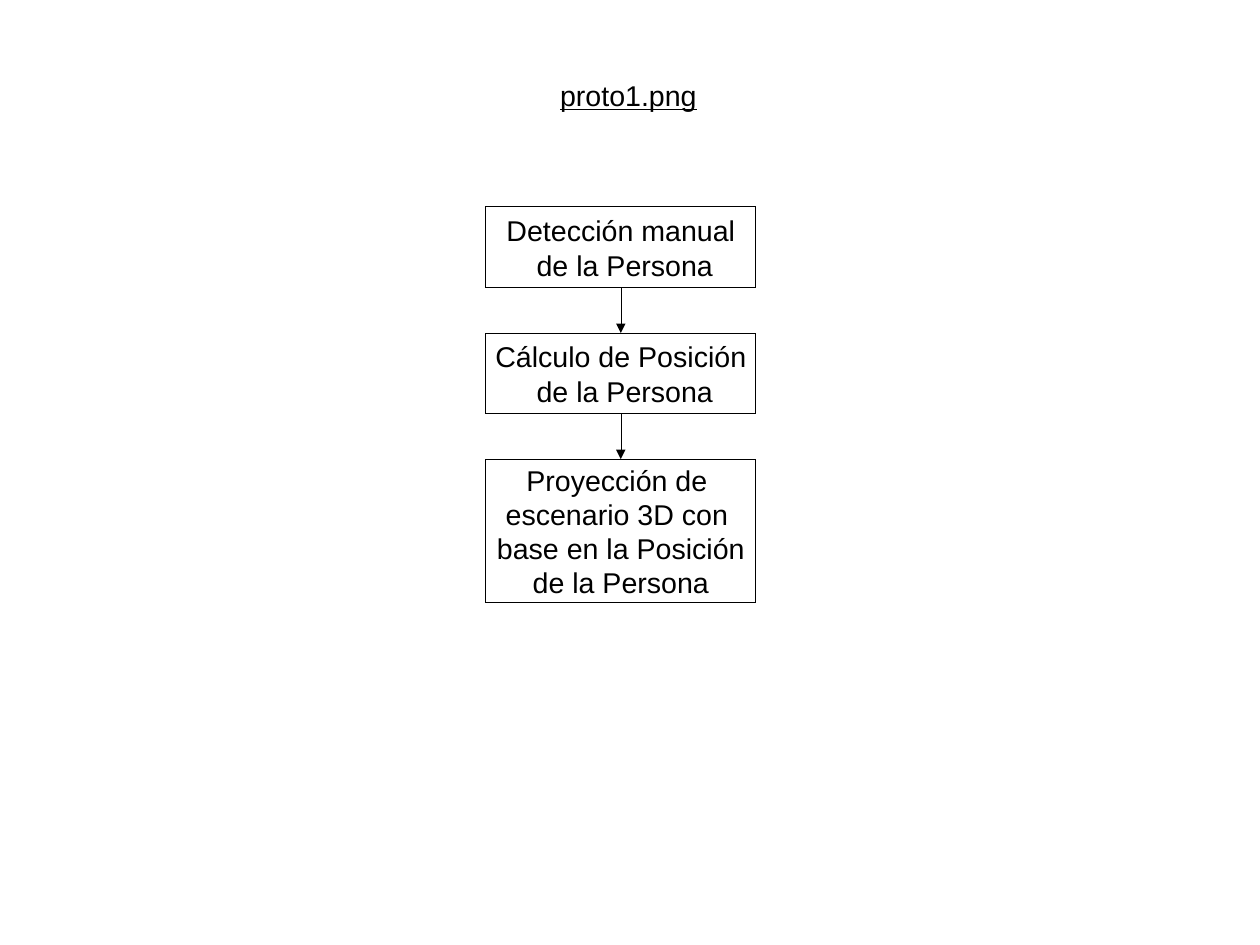
from itertools import pairwise
from lxml import etree
from pptx import Presentation
from pptx.dml.color import RGBColor
from pptx.enum.shapes import MSO_CONNECTOR as Connector, MSO_SHAPE as Shape
from pptx.enum.text import MSO_ANCHOR as Anchor, MSO_AUTO_SIZE as AutoSize, PP_ALIGN as Align
from pptx.oxml.ns import qn
from pptx.util import Pt

TITLE = "proto1.png"
STEPS = [
    (51, ["Detección manual", " de la Persona"]),
    (51, ["Cálculo de Posición", " de la Persona"]),
    (90.7, ["Proyección de ", "escenario 3D con ", "base en la Posición", "de la Persona"]),
]
BLACK, WHITE = "000000", "FFFFFF"
FONT, SIZE, HAIRLINE = "Arial", 18, 0.01
LEFT, TOP, WIDTH, GAP = 306, 130.4, 170.1, 28.4


def color(value):
    return RGBColor.from_string(value)


def write(frame, lines, align, anchor, underline=False):
    frame.word_wrap = False
    frame.vertical_anchor = anchor
    frame.margin_left = frame.margin_right = Pt(7.2)
    frame.margin_top = frame.margin_bottom = Pt(3.6)
    for index, line in enumerate(lines):
        para = frame.add_paragraph() if index else frame.paragraphs[0]
        para.alignment = align
        span = para.add_run()
        span.text = line
        span.font.name = FONT
        span.font.size = Pt(SIZE)
        span.font.underline = underline
        span.font.color.rgb = color(BLACK)


def draw_hairline(line):
    line.color.rgb = color(BLACK)
    line.width = Pt(HAIRLINE)


def add_step(page, top, height, lines):
    box = page.shapes.add_shape(Shape.RECTANGLE, Pt(LEFT), Pt(top), Pt(WIDTH), Pt(height))
    box.shadow.inherit = False
    box.fill.solid()
    box.fill.fore_color.rgb = color(WHITE)
    draw_hairline(box.line)
    write(box.text_frame, lines, Align.CENTER, Anchor.MIDDLE)
    return box


def add_arrow(page, upper, lower):
    arrow = page.shapes.add_connector(Connector.STRAIGHT, 0, 0, 0, 0)
    arrow.begin_connect(upper, 2)
    arrow.end_connect(lower, 0)
    draw_hairline(arrow.line)
    etree.SubElement(arrow.line._get_or_add_ln(), qn("a:tailEnd"), type="triangle")
    etree.SubElement(arrow._element.spPr, qn("a:effectLst"))


def main():
    deck = Presentation()
    deck.slide_width, deck.slide_height = Pt(793.7), Pt(595.3)
    page = deck.slides.add_slide(deck.slide_layouts[5])

    title = page.shapes.title
    title.left, title.top, title.width, title.height = Pt(345.6), Pt(45.4), Pt(104), Pt(27.4)
    write(title.text_frame, [TITLE], Align.LEFT, Anchor.TOP, underline=True)
    title.text_frame.auto_size = AutoSize.SHAPE_TO_FIT_TEXT

    boxes = []
    top = TOP
    for height, lines in STEPS:
        boxes.append(add_step(page, top, height, lines))
        top += height + GAP
    for upper, lower in pairwise(boxes):
        add_arrow(page, upper, lower)

    deck.save("out.pptx")


if __name__ == "__main__":
    main()
